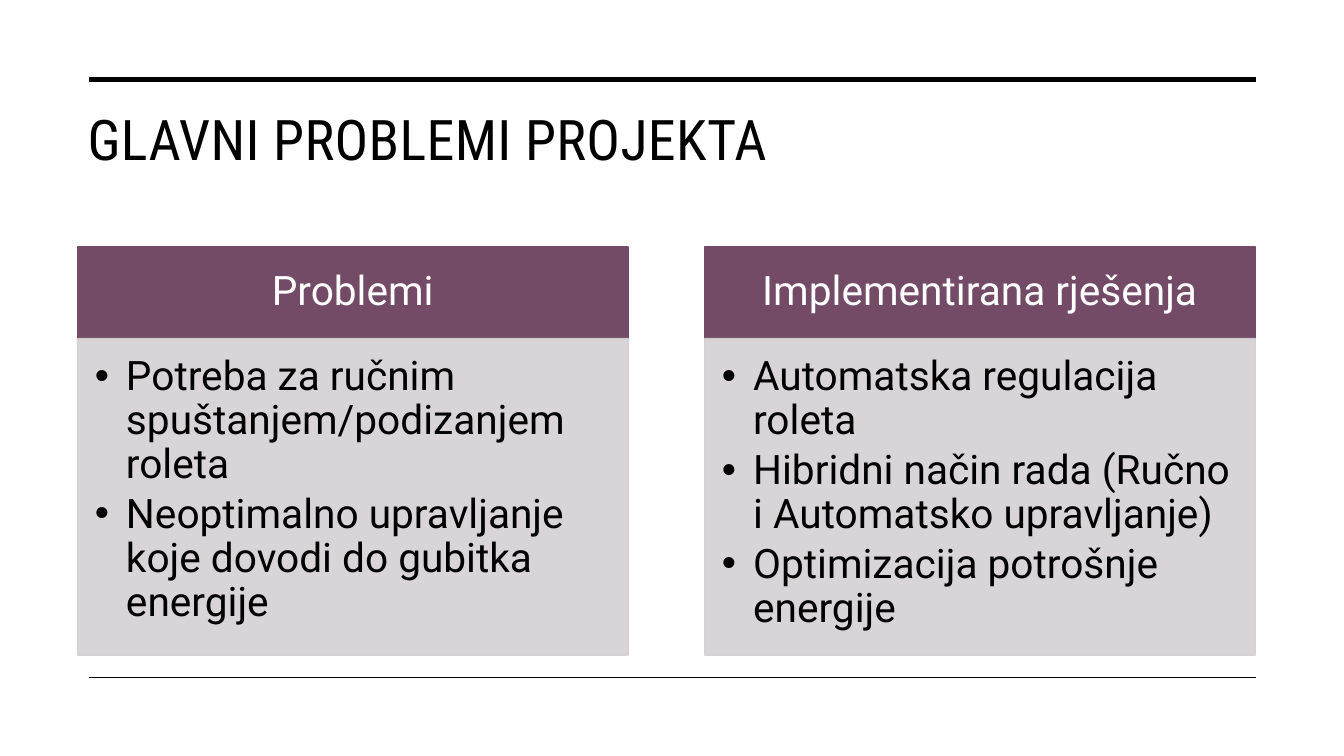
from lxml.etree import SubElement
from pptx import Presentation
from pptx.dml.color import RGBColor
from pptx.enum.shapes import MSO_CONNECTOR, MSO_SHAPE
from pptx.enum.text import MSO_ANCHOR, PP_ALIGN
from pptx.oxml.ns import qn
from pptx.util import Inches, Pt

BLACK = RGBColor(0x00, 0x00, 0x00)
WHITE = RGBColor(0xFF, 0xFF, 0xFF)
PLUM = RGBColor(0x73, 0x4B, 0x67)
MIST = RGBColor(0xD5, 0xD0, 0xD3)

COLUMNS = [
    ("Problemi", [
        "Potreba za ručnim spuštanjem/podizanjem roleta",
        "Neoptimalno upravljanje koje dovodi do gubitka energije",
    ]),
    ("Implementirana rješenja", [
        "Automatska regulacija roleta",
        "Hibridni način rada (Ručno i Automatsko upravljanje)",
        "Optimizacija potrošnje energije",
    ]),
]


def set_margins(frame, left, top, right, bottom):
    """Wrap the text and set its four insets in inches."""
    frame.word_wrap = True
    frame.margin_left, frame.margin_top = Inches(left), Inches(top)
    frame.margin_right, frame.margin_bottom = Inches(right), Inches(bottom)


def style_text(para, font_name, size, color):
    """Set the font of a whole paragraph."""
    para.font.name = font_name
    para.font.size = Pt(size)
    para.font.color.rgb = color


def add_rule(page, left, top, width, weight):
    """Draw a horizontal black rule."""
    rule = page.shapes.add_connector(
        MSO_CONNECTOR.STRAIGHT, Inches(left), Inches(top), Inches(left + width), Inches(top))
    rule.line.color.rgb = BLACK
    rule.line.width = Pt(weight)
    SubElement(rule._element.spPr, qn("a:effectLst"))


def add_title(page, left, top, width, height, text):
    """Write the slide title."""
    box = page.shapes.add_textbox(Inches(left), Inches(top), Inches(width), Inches(height))
    set_margins(box.text_frame, 0.1, 0.05, 0.1, 0.05)
    para = box.text_frame.paragraphs[0]
    span = para.add_run()
    span.text = text
    span.font._element.set("spc", "30")
    style_text(para, "Roboto Condensed", 40, BLACK)


def add_panel(page, left, top, width, height, color, opacity=100):
    """Draw a filled rectangle and return its text frame."""
    panel = page.shapes.add_shape(
        MSO_SHAPE.RECTANGLE, Inches(left), Inches(top), Inches(width), Inches(height))
    panel.shadow.inherit = False
    panel.fill.solid()
    panel.fill.fore_color.rgb = color
    panel.line.color.rgb = color
    panel.line.width = Pt(1)
    if opacity < 100:
        for paint in panel._element.spPr.iter(qn("a:srgbClr")):
            SubElement(paint, qn("a:alpha"), val=str(opacity * 1000))
    return panel.text_frame


def add_bullet(para):
    """Give a paragraph a hanging round bullet."""
    properties = para._element.get_or_add_pPr()
    properties.set("marL", str(Inches(0.31)))
    properties.set("indent", str(-Inches(0.31)))
    SubElement(properties, qn("a:buFont"), typeface="Arial")
    SubElement(properties, qn("a:buChar"), char="•")


def add_column(page, left, top, width, height, heading, items):
    """Build a heading band with a bulleted panel below it."""
    band_height = 0.91
    band = add_panel(page, left, top, width, band_height, PLUM)
    set_margins(band, 0.23, 0.13, 0.23, 0.13)
    band.vertical_anchor = MSO_ANCHOR.MIDDLE
    para = band.paragraphs[0]
    para.text = heading
    para.alignment = PP_ALIGN.CENTER
    para.line_spacing = 0.9
    style_text(para, "Roboto", 29, WHITE)

    body = add_panel(page, left, top + band_height, width, height - band_height, MIST, 90)
    set_margins(body, 0.17, 0.17, 0.23, 0.25)
    body.vertical_anchor = MSO_ANCHOR.TOP
    for index, item in enumerate(items):
        para = body.add_paragraph() if index else body.paragraphs[0]
        para.text = item
        para.alignment = PP_ALIGN.LEFT
        para.line_spacing = 0.9
        para.space_after = Pt(4.35)
        add_bullet(para)
        style_text(para, "Roboto", 29, BLACK)


def build_page(page):
    """Place the title, both rules and the two columns."""
    add_title(page, 0.77, 0.99, 11.69, 1.26, "GLAVNI PROBLEMI PROJEKTA")
    for top, weight in [(0.79, 3.5), (6.72, 1)]:
        add_rule(page, 0.88, top, 11.58, weight)
    for index, (heading, items) in enumerate(COLUMNS):
        add_column(page, 0.77 + index * 6.22, 2.45, 5.46, 4.05, heading, items)


def main():
    """Create the deck and save it."""
    deck = Presentation()
    deck.slide_width, deck.slide_height = Inches(13.33), Inches(7.5)
    build_page(deck.slides.add_slide(deck.slide_layouts[6]))
    deck.save("out.pptx")


if __name__ == "__main__":
    main()
